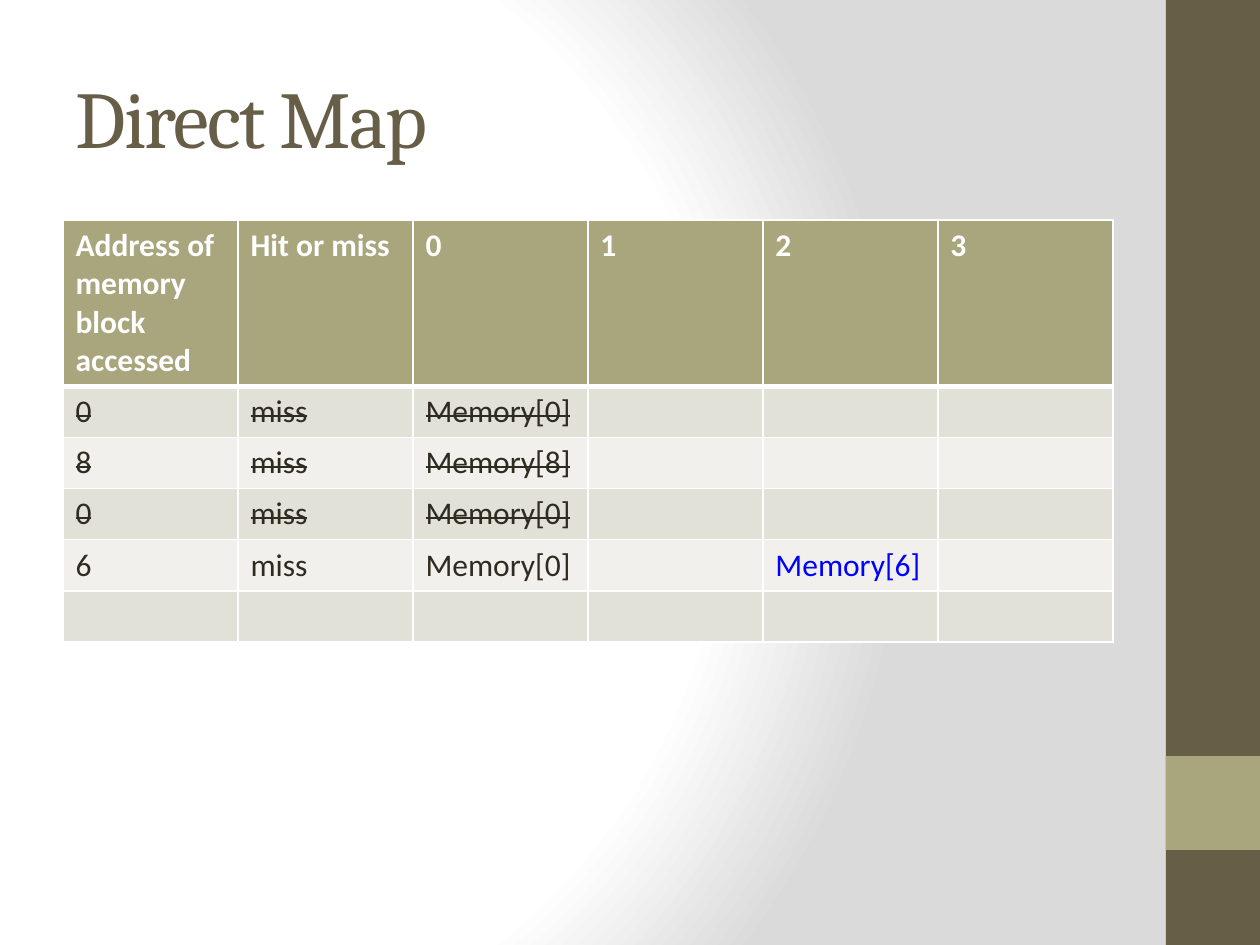
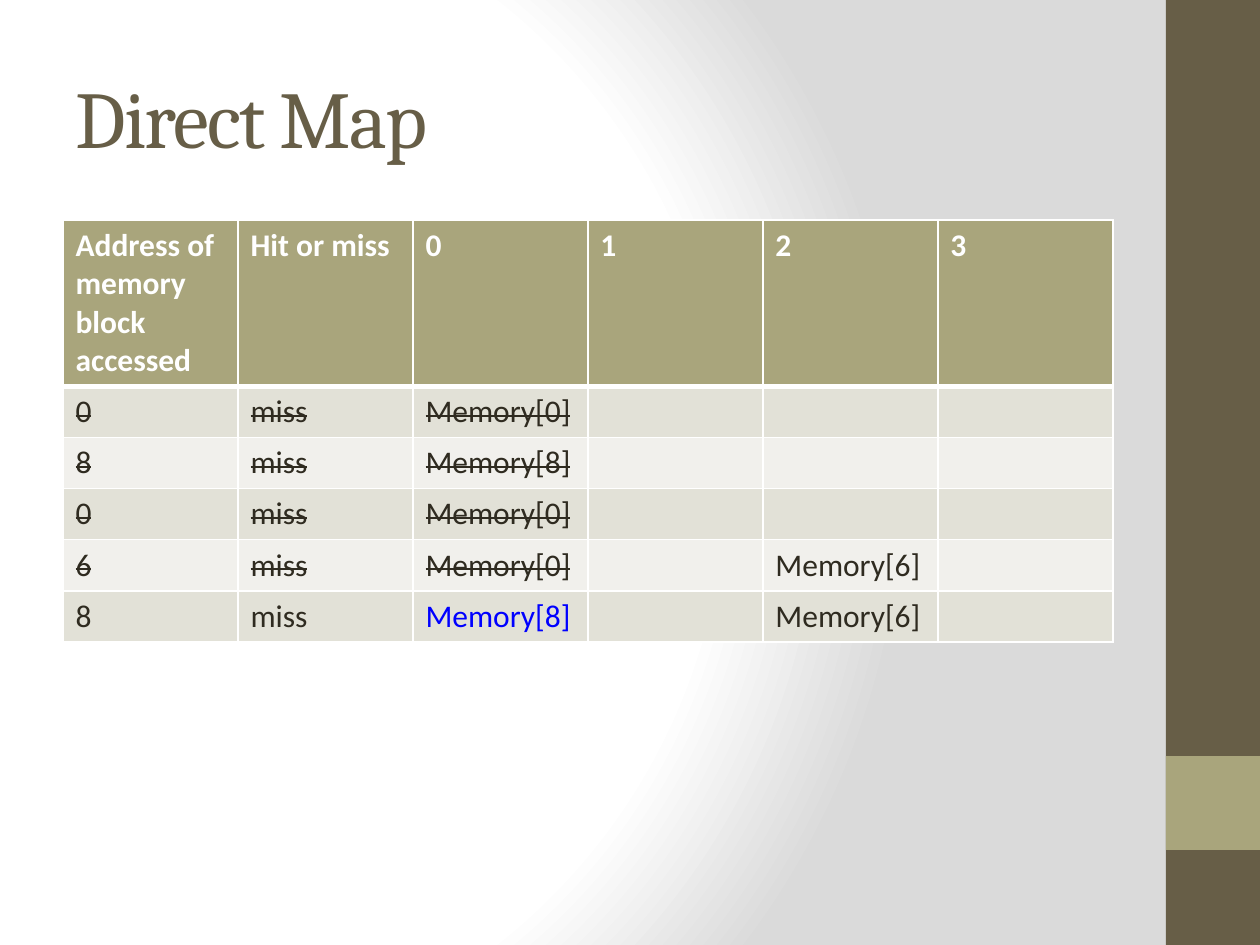
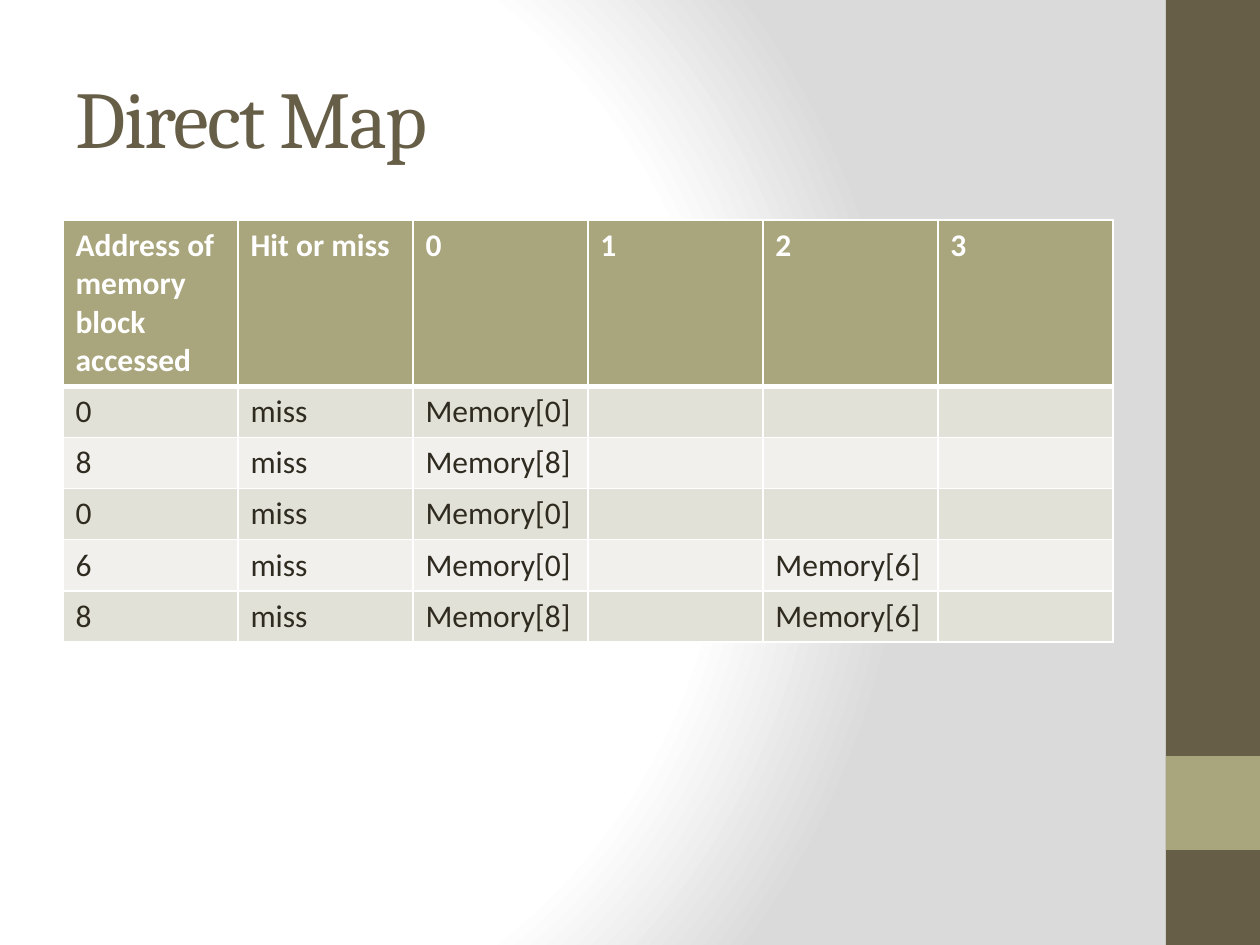
from lxml.etree import SubElement
from pptx import Presentation
from pptx.dml.color import RGBColor
from pptx.enum.shapes import MSO_SHAPE as Shape
from pptx.enum.text import MSO_ANCHOR as Anchor, MSO_AUTO_SIZE as AutoSize, PP_ALIGN as Align
from pptx.oxml.ns import qn
from pptx.util import Emu, Pt

WHITE, GREY = "FFFFFF", "DADADA"
BROWN, OLIVE = "675E47", "A9A57C"
INK, BLUE = "2F2B20", "0000FF"
STRIPES = ("E2E1D7", "F1F0EC")
HEADING_FONT, BODY_FONT = "Cambria", "Calibri"

SLIDE_WIDTH, SLIDE_HEIGHT = 1260, 945
MARGIN, CONTENT_WIDTH = 63, 1050
BAND_LEFT, BAND_WIDTH = 1166, 94
ROW_HEIGHT, TABLE_TOP, TABLE_HEIGHT = 51, 220, 420

HEADINGS = ("Address of memory block accessed", "Hit or miss", "0", "1", "2", "3")
ACCESSES = (
    ("0", "miss", "Memory[0]", "", "", ""),
    ("8", "miss", "Memory[8]", "", "", ""),
    ("0", "miss", "Memory[0]", "", "", ""),
    ("6", "miss", "Memory[0]", "", "Memory[6]", ""),
    ("8", "miss", "Memory[8]", "", "Memory[6]", ""),
)
LIVE_COLUMN = 4


def px(length):
    return Emu(round(length * 914400 / 126))


def color(value):
    return RGBColor.from_string(value)


def set_background(master):
    master.background.fill.gradient()
    gradient = master.element.find(".//" + qn("a:gradFill"))
    for child in list(gradient):
        gradient.remove(child)
    stops = SubElement(gradient, qn("a:gsLst"))
    for position, shade in ((0, WHITE), (75, WHITE), (100, GREY)):
        stop = SubElement(stops, qn("a:gs"), pos=str(position * 1000))
        SubElement(stop, qn("a:srgbClr"), val=shade)
    circle = SubElement(gradient, qn("a:path"), path="circle")
    SubElement(circle, qn("a:fillToRect"), l="20000", t="50000", r="100000", b="50000")


def add_band(slide, top, height, fill):
    band = slide.shapes.add_shape(Shape.RECTANGLE, px(BAND_LEFT), px(top), px(BAND_WIDTH), px(height))
    band.shadow.inherit = False
    band.fill.solid()
    band.fill.fore_color.rgb = color(fill)
    band.line.fill.background()


def style_run(run, font, size, ink, bold=False):
    run.font.name = font
    run.font.size = Pt(size)
    run.font.bold = bold
    run.font.color.rgb = color(ink)


def set_title(slide, text):
    title = slide.shapes.title
    title.left, title.top = px(MARGIN), px(38)
    title.width, title.height = px(CONTENT_WIDTH), px(157)
    frame = title.text_frame
    frame.text = text
    frame.word_wrap = True
    frame.auto_size = AutoSize.NONE
    frame.vertical_anchor = Anchor.MIDDLE
    heading = frame.paragraphs[0]
    heading.alignment = Align.LEFT
    style_run(heading.runs[0], HEADING_FONT, 46, BROWN)
    heading.runs[0].font._element.set("spc", "-100")


def set_borders(cell, top, bottom):
    properties = cell._tc.get_or_add_tcPr()
    for side, width in (("L", 1), ("R", 1), ("T", top), ("B", bottom)):
        border = SubElement(properties, qn("a:ln" + side), w=str(Pt(width)))
        fill = SubElement(border, qn("a:solidFill"))
        SubElement(fill, qn("a:srgbClr"), val=WHITE)


def fill_cell(cell, text, fill, ink, bold=False, struck=False):
    cell.fill.solid()
    cell.fill.fore_color.rgb = color(fill)
    if not text:
        return
    cell.text_frame.text = text
    run = cell.text_frame.paragraphs[0].runs[0]
    style_run(run, BODY_FONT, 18, ink, bold)
    if struck:
        run.font._element.set("strike", "sngStrike")


def add_cache_table(slide, shown, struck_rows, newest):
    row_count = len(ACCESSES) + 1
    frame = slide.shapes.add_table(
        row_count, len(HEADINGS), px(MARGIN), px(TABLE_TOP),
        px(CONTENT_WIDTH), px(ROW_HEIGHT * row_count))
    frame.height = px(TABLE_HEIGHT)
    cache = frame.table
    for column, heading in enumerate(HEADINGS):
        cell = cache.cell(0, column)
        set_borders(cell, 1, 3)
        fill_cell(cell, heading, OLIVE, WHITE, bold=True)
    for row, access in enumerate(ACCESSES, 1):
        for column, entry in enumerate(access):
            cell = cache.cell(row, column)
            set_borders(cell, 3 if row == 1 else 1, 1)
            fill_cell(
                cell, entry if row <= shown else "", STRIPES[(row - 1) % 2],
                BLUE if (row, column) == newest else INK,
                struck=row <= struck_rows and column != LIVE_COLUMN)


def add_direct_map_slide(deck, shown, struck_rows, newest):
    slide = deck.slides.add_slide(deck.slide_layouts[5])
    add_band(slide, 0, SLIDE_HEIGHT, BROWN)
    add_band(slide, 756, BAND_WIDTH, OLIVE)
    set_title(slide, "Direct Map")
    add_cache_table(slide, shown, struck_rows, newest)


def main():
    deck = Presentation()
    deck.slide_width, deck.slide_height = px(SLIDE_WIDTH), px(SLIDE_HEIGHT)
    set_background(deck.slide_master)
    add_direct_map_slide(deck, shown=4, struck_rows=3, newest=(4, 4))
    add_direct_map_slide(deck, shown=5, struck_rows=4, newest=(5, 2))
    add_direct_map_slide(deck, shown=5, struck_rows=0, newest=None)
    deck.save("out.pptx")


main()
